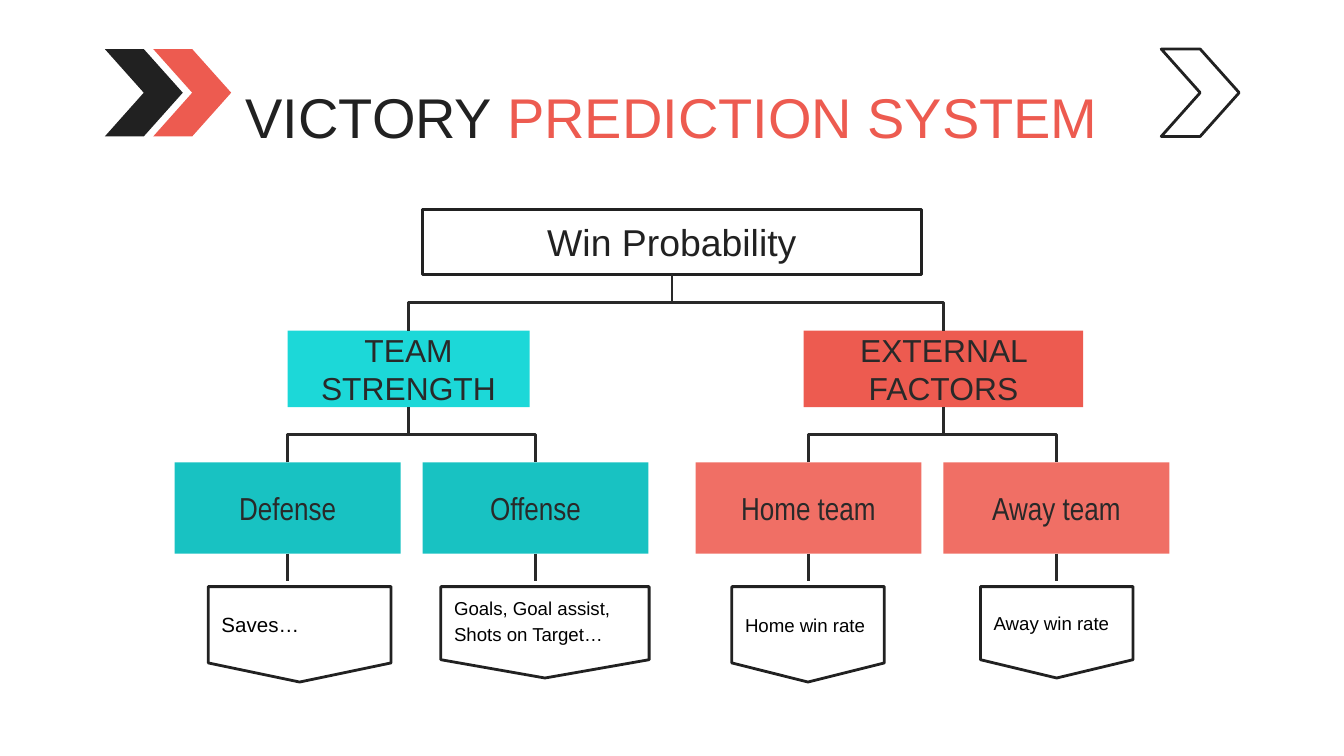
"""Build the victory prediction system slide: a tree from win probability to its input data."""
from lxml.etree import SubElement
from pptx import Presentation
from pptx.dml.color import RGBColor
from pptx.enum.shapes import MSO_CONNECTOR, MSO_SHAPE
from pptx.enum.text import MSO_ANCHOR, PP_ALIGN
from pptx.oxml.ns import qn
from pptx.util import Pt

PX = 4572
BLACK = RGBColor(0x00, 0x00, 0x00)
INK = RGBColor(0x21, 0x21, 0x21)
CHARCOAL = RGBColor(0x29, 0x29, 0x29)
CORAL = RGBColor(0xED, 0x5B, 0x50)
LIGHT_CORAL = RGBColor(0xF0, 0x6F, 0x65)
CYAN = RGBColor(0x1C, 0xD8, 0xD8)
TEAL = RGBColor(0x18, 0xC2, 0xC2)

prs = Presentation()
prs.slide_width, prs.slide_height = 2000 * PX, 1125 * PX
slide = prs.slides.add_slide(prs.slide_layouts[6])


def add_block(preset, left, top, width, height, fill=None, runs=(), size=17,
              font="Arial", align=PP_ALIGN.CENTER, spacing=1.0, lift=0):
    box = [length * PX for length in (left, top, width, height)]
    if preset is None:
        block = slide.shapes.add_textbox(*box)
    else:
        block = slide.shapes.add_shape(preset, *box)
        block.shadow.inherit = False
        if fill is None:
            block.fill.background()
            block.line.color.rgb = INK
            block.line.width = Pt(1.5)
        else:
            block.fill.solid()
            block.fill.fore_color.rgb = fill
            block.line.fill.background()
        if preset == MSO_SHAPE.ROUNDED_RECTANGLE:
            block.adjustments[0] = 0
    frame = block.text_frame
    frame.word_wrap = True
    frame.vertical_anchor = MSO_ANCHOR.MIDDLE
    frame.margin_left = frame.margin_right = 20 * PX
    frame.margin_top, frame.margin_bottom = (20 - lift) * PX, (20 + lift) * PX
    paragraph = frame.paragraphs[0]
    paragraph.alignment = align
    paragraph.line_spacing = spacing
    for text, color in runs:
        run = paragraph.add_run()
        run.text = text
        run.font.size = Pt(size)
        run.font.name = font
        run.font.color.rgb = color


def add_link(parent_x, parent_y, child_x, child_y):
    if parent_x == child_x:
        link = slide.shapes.add_connector(
            MSO_CONNECTOR.STRAIGHT, parent_x * PX, parent_y * PX, child_x * PX, child_y * PX)
    else:
        mid_x, mid_y = (parent_x + child_x) * PX // 2, (parent_y + child_y) * PX // 2
        half_span = abs(child_x - parent_x) * PX // 2
        half_drop = (child_y - parent_y) * PX // 2
        side = 1 if child_x > parent_x else -1
        link = slide.shapes.add_connector(
            MSO_CONNECTOR.ELBOW, mid_x + side * half_drop, mid_y - half_span,
            mid_x - side * half_drop, mid_y + half_span)
        link._element.spPr.find(qn("a:xfrm")).set("rot", "16200000")
    link.line.color.rgb = CHARCOAL
    link.line.width = Pt(1.5)
    SubElement(link._element.spPr, qn("a:effectLst"))


for chevron_left, chevron_fill in ((156, INK), (228, CORAL), (1728, None)):
    add_block(MSO_SHAPE.CHEVRON, chevron_left, 73, 116, 130, chevron_fill)

add_block(None, 156, 121, 1688, 104, size=30,
          runs=[("VICTORY ", INK), ("PREDICTION SYSTEM", CORAL)])

ROOT_X = 1000
add_block(MSO_SHAPE.ROUNDED_RECTANGLE, ROOT_X - 371, 312, 742, 96,
          runs=[("Win Probability", INK)], size=20)

branches = [
    ("TEAM STRENGTH", 608, 360, CYAN, TEAL, [
        ("Defense", 428, "Saves…", 310, 272, 142, 11, 1.0, 0),
        ("Offense", 797, "Goals, Goal assist, Shots on Target…", 656, 310, 136, 10, 1.15, 6),
    ]),
    ("EXTERNAL FACTORS", 1404, 416, CORAL, LIGHT_CORAL, [
        ("Home team", 1203, "Home win rate", 1089, 227, 142, 10, 1.0, 0),
        ("Away team", 1572, "Away win rate", 1459, 227, 136, 10, 1.0, 0),
    ]),
]
for branch, branch_x, branch_width, branch_fill, factor_fill, factors in branches:
    add_block(MSO_SHAPE.ROUNDED_RECTANGLE, branch_x - branch_width // 2, 492,
              branch_width, 114, branch_fill, [(branch, CHARCOAL)])
    add_link(ROOT_X, 408, branch_x, 492)
    for factor, factor_x, data, data_left, data_width, data_height, size, spacing, lift in factors:
        add_block(MSO_SHAPE.ROUNDED_RECTANGLE, factor_x - 168, 688, 336, 136,
                  factor_fill, [(factor, CHARCOAL)], font="Arial Narrow")
        add_block(MSO_SHAPE.FLOWCHART_OFFPAGE_CONNECTOR, data_left, 873, data_width,
                  data_height, runs=[(data, BLACK)], size=size,
                  align=PP_ALIGN.LEFT, spacing=spacing, lift=lift)
        add_link(branch_x, 606, factor_x, 688)
        add_link(factor_x, 824, factor_x, 864)

prs.save("out.pptx")
